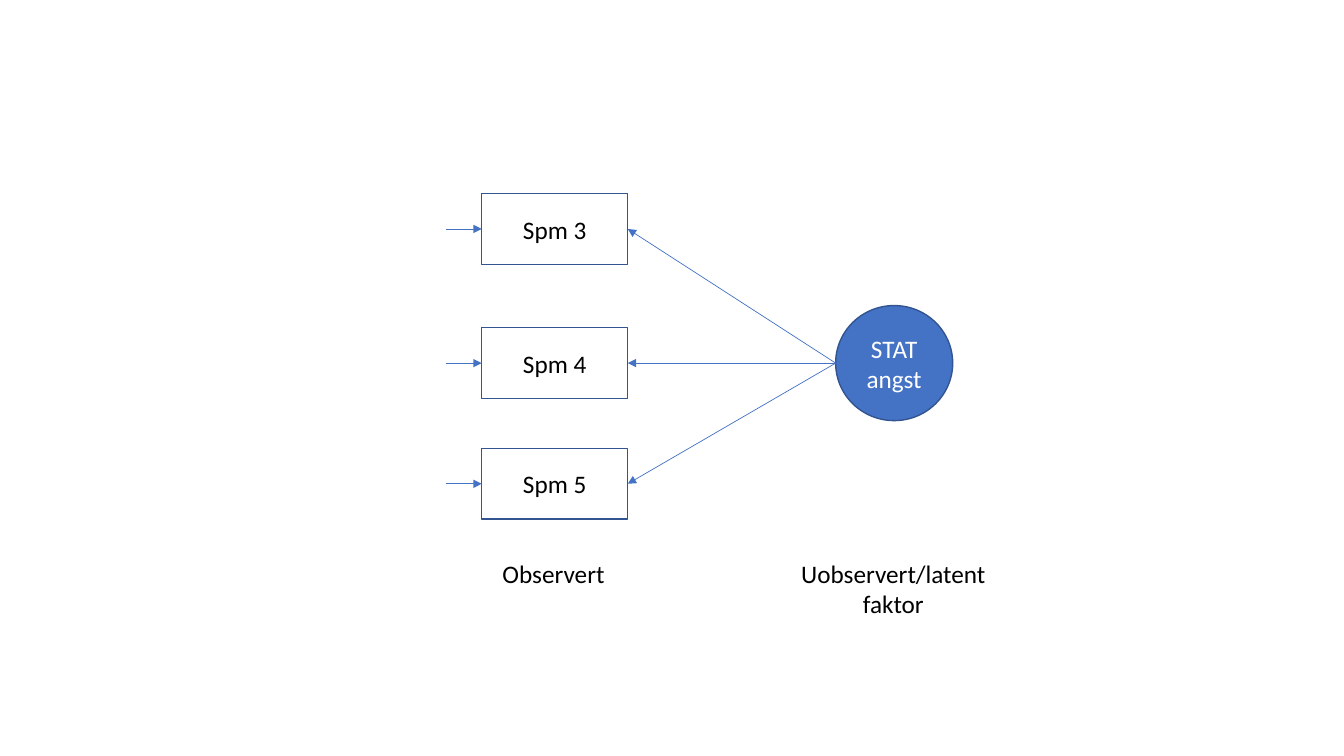
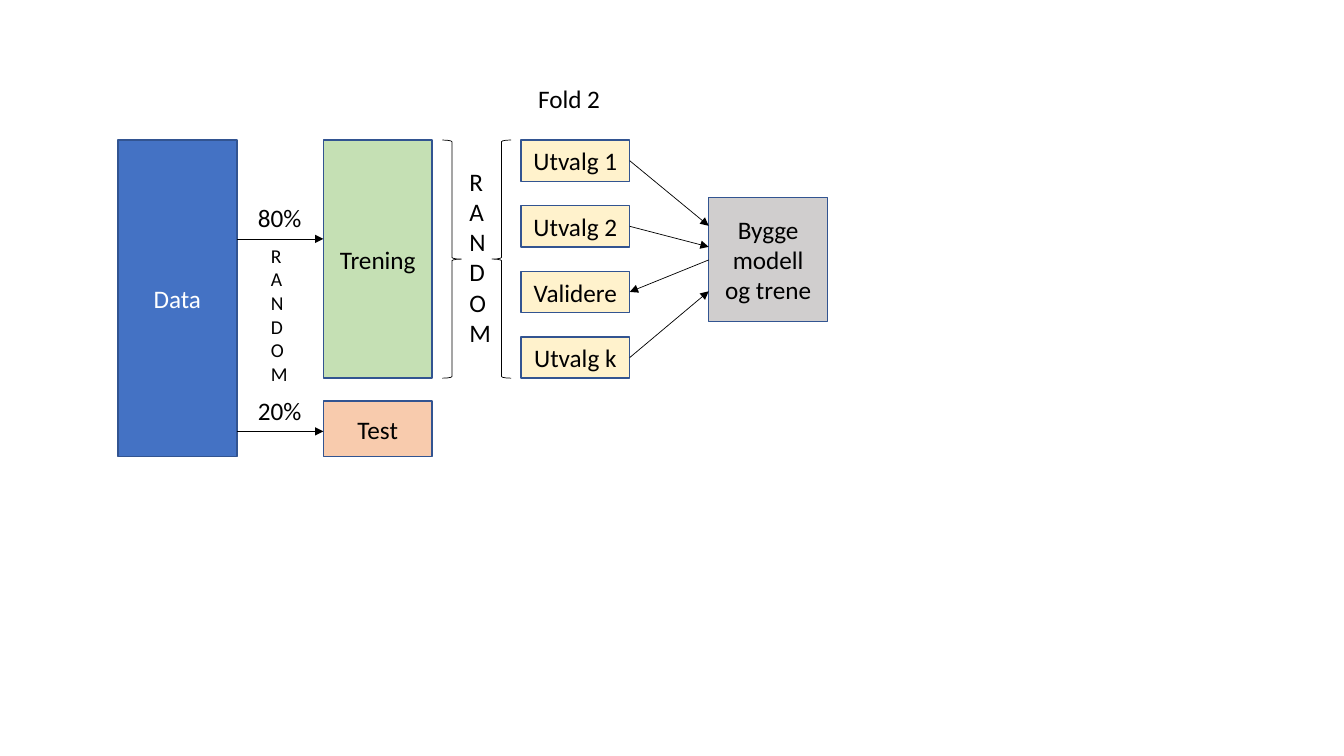
from lxml.etree import SubElement
from pptx import Presentation
from pptx.dml.color import RGBColor
from pptx.enum.shapes import MSO_CONNECTOR as Connector, MSO_SHAPE as Shape
from pptx.enum.text import MSO_ANCHOR as Anchor, PP_ALIGN as Align
from pptx.oxml.ns import qn
from pptx.util import Cm, Pt

BLUE = RGBColor(0x44, 0x72, 0xC4)
OUTLINE = RGBColor(0x32, 0x54, 0x91)
BLACK = RGBColor(0, 0, 0)
WHITE = RGBColor(255, 255, 255)
GREEN = RGBColor(0xC5, 0xE0, 0xB4)
ORANGE = RGBColor(0xF8, 0xCB, 0xAD)
YELLOW = RGBColor(0xFF, 0xF2, 0xCC)
GREY = RGBColor(0xD0, 0xCE, 0xCE)
FONT = "Calibri"

QUESTIONS = [("Spm 3", 4.88), ("Spm 4", 8.26), ("Spm 5", 11.3)]
QUESTION_LEFT, QUESTION_WIDTH, QUESTION_HEIGHT = 12.14, 3.68, 1.78
FACTOR_TEXT = "STAT angst"
FACTOR_AREA = (21.06, 7.7, 2.95, 2.9)
INPUT_LENGTH = 0.91
FACTOR_CAPTIONS = [
    (["Observert"], (12.4, 13.94, 3.1, 1.02)),
    (["Uobservert/latent", "faktor"], (19.91, 13.94, 5.21, 1.8)),
]

TOP = 3.53
DATA_LEFT, DATA_WIDTH, DATA_HEIGHT = 2.97, 3, 7.98
SPLIT_LEFT, SPLIT_WIDTH, TRAINING_HEIGHT, TEST_HEIGHT = 8.15, 2.74, 6, 1.4
SPLIT_SHARES = [("80%", 6.02), ("20%", 10.87)]
RANDOM_COLUMNS = [((6.58, 6.02, 0.94, 3.84), 14), ((11.58, 4.06, 1.07, 4.88), 18)]
BRACES = [(Shape.RIGHT_BRACE, 11.15), (Shape.LEFT_BRACE, 12.4)]
FOLD_LEFT, FOLD_HEIGHT = 13.13, 1.04
FOLDS = [
    ("Utvalg 1", 5.69, True),
    ("Utvalg 2", 6.22, True),
    ("Validere", 6.55, False),
    ("Utvalg k", 7.34, True),
]
MODEL_AREA = (17.86, 4.98, 3, 3.12)


def write(frame, lines, color=BLACK, size=18, align=Align.LEFT):
    for index, line in enumerate(lines):
        paragraph = frame.paragraphs[0] if index == 0 else frame.add_paragraph()
        paragraph.alignment = align
        run = paragraph.add_run()
        run.text = line
        run.font.name = FONT
        run.font.size = Pt(size)
        run.font.color.rgb = color


def add_outline(slide, kind, area, color, width):
    shape = slide.shapes.add_shape(kind, *map(Cm, area))
    shape.shadow.inherit = False
    shape.fill.background()
    shape.line.color.rgb = color
    shape.line.width = Pt(width)
    return shape


def add_box(slide, text, area, fill=None, color=BLACK, kind=Shape.RECTANGLE):
    box = add_outline(slide, kind, area, OUTLINE, 1)
    if fill is not None:
        box.fill.solid()
        box.fill.fore_color.rgb = fill
    box.text_frame.word_wrap = True
    box.text_frame.vertical_anchor = Anchor.MIDDLE
    write(box.text_frame, [text], color, align=Align.CENTER)


def add_label(slide, lines, area, size=18, align=Align.LEFT):
    label = slide.shapes.add_textbox(*map(Cm, area))
    label.text_frame.word_wrap = False
    write(label.text_frame, lines, size=size, align=align)


def add_arrow(slide, start, end, color=BLACK):
    arrow = slide.shapes.add_connector(Connector.STRAIGHT, *map(Cm, start + end))
    arrow.line.color.rgb = color
    arrow.line.width = Pt(0.5)
    SubElement(arrow.line._get_or_add_ln(), qn("a:tailEnd"), type="triangle")
    SubElement(arrow._element.spPr, qn("a:effectLst"))


def build_factor_slide(slide):
    left, top, _, height = FACTOR_AREA
    factor_edge = (left, top + height / 2)
    add_box(slide, FACTOR_TEXT, FACTOR_AREA, BLUE, WHITE, Shape.OVAL)
    for text, top in QUESTIONS:
        middle = top + QUESTION_HEIGHT / 2
        add_box(slide, text, (QUESTION_LEFT, top, QUESTION_WIDTH, QUESTION_HEIGHT))
        add_arrow(slide, factor_edge, (QUESTION_LEFT + QUESTION_WIDTH, middle), BLUE)
        add_arrow(slide, (QUESTION_LEFT - INPUT_LENGTH, middle),
                  (QUESTION_LEFT, middle), BLUE)
    for lines, area in FACTOR_CAPTIONS:
        add_label(slide, lines, area, align=Align.CENTER)


def build_validation_slide(slide):
    add_box(slide, "Data", (DATA_LEFT, TOP, DATA_WIDTH, DATA_HEIGHT), BLUE, WHITE)
    add_box(slide, "Trening", (SPLIT_LEFT, TOP, SPLIT_WIDTH, TRAINING_HEIGHT), GREEN)
    test_top = TOP + DATA_HEIGHT - TEST_HEIGHT
    add_box(slide, "Test", (SPLIT_LEFT, test_top, SPLIT_WIDTH, TEST_HEIGHT), ORANGE)
    for share, middle in SPLIT_SHARES:
        add_arrow(slide, (DATA_LEFT + DATA_WIDTH, middle), (SPLIT_LEFT, middle))
        add_label(slide, [share], (6.25, middle - 1.04, 1.63, 1.02))
    for area, size in RANDOM_COLUMNS:
        add_label(slide, list("RANDOM"), area, size)
    for kind, left in BRACES:
        add_outline(slide, kind, (left, TOP, 0.48, TRAINING_HEIGHT), BLACK, 0.5)

    add_label(slide, ["Fold 2"], (13.31, 1.98, 2.54, 1.02))
    add_box(slide, "Bygge modell og trene", MODEL_AREA, GREY)
    pitch = (TRAINING_HEIGHT - FOLD_HEIGHT) / (len(FOLDS) - 1)
    for index, (text, model_y, trains_model) in enumerate(FOLDS):
        top = TOP + index * pitch
        add_box(slide, text, (FOLD_LEFT, top, SPLIT_WIDTH, FOLD_HEIGHT), YELLOW)
        fold_edge = (FOLD_LEFT + SPLIT_WIDTH, top + FOLD_HEIGHT / 2)
        model_edge = (MODEL_AREA[0], model_y)
        if trains_model:
            add_arrow(slide, fold_edge, model_edge)
        else:
            add_arrow(slide, model_edge, fold_edge)


def main():
    presentation = Presentation()
    presentation.slide_width = Cm(33.87)
    presentation.slide_height = Cm(19.05)
    blank_layout = presentation.slide_layouts[6]
    for build in (build_factor_slide, build_validation_slide):
        build(presentation.slides.add_slide(blank_layout))
    presentation.save("out.pptx")


if __name__ == "__main__":
    main()
